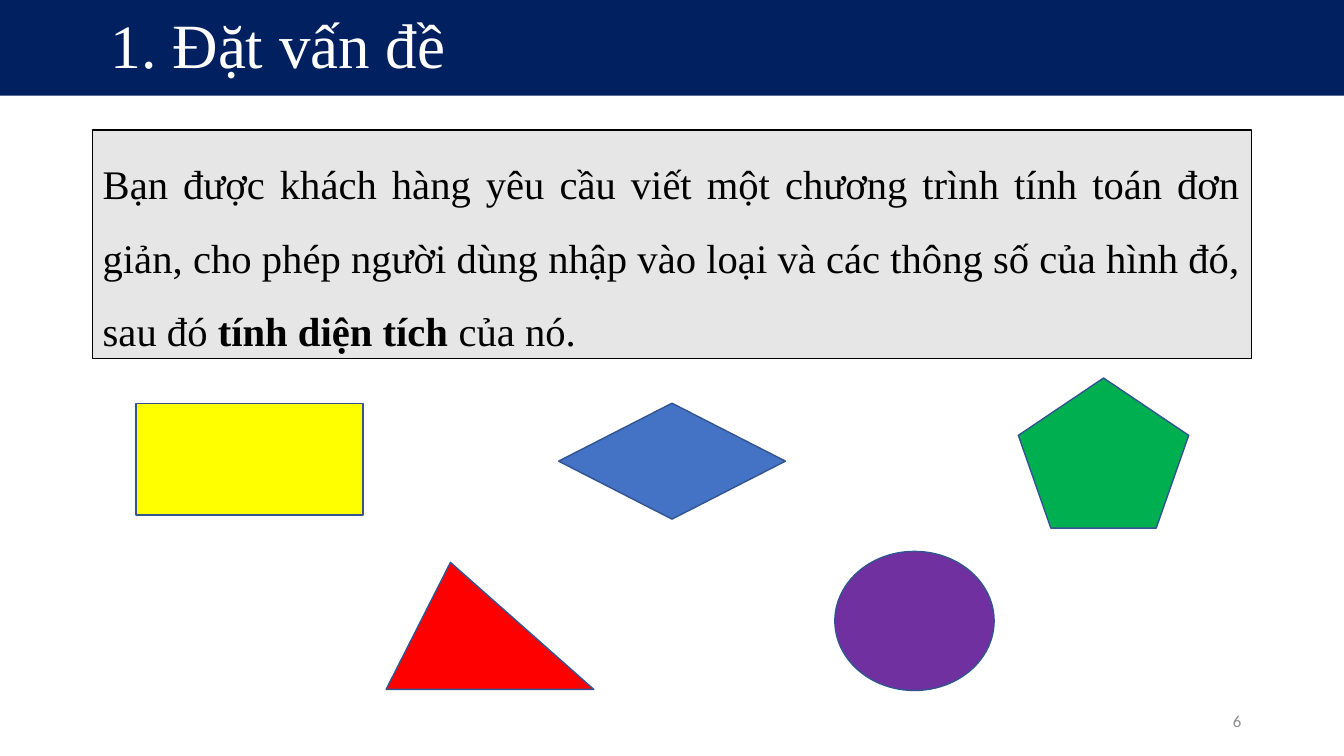
"""Build the slide that poses the problem of computing areas of shapes."""
from pptx import Presentation
from pptx.dml.color import RGBColor
from pptx.enum.shapes import MSO_SHAPE as Kind
from pptx.enum.text import MSO_ANCHOR as Anchor, PP_ALIGN as Align
from pptx.util import Inches, Pt

WIDE, HIGH = 13.33, 7.5
EDGE = 0.92
SERIF = "Times New Roman"
TITLE = [("1. ", 44, False), ("Đặt vấn đề", 45, False)]
BODY = [
    ("Bạn được khách hàng yêu cầu viết một chương trình tính toán đơn giản, "
     "cho phép người dùng nhập vào loại và các thông số của hình đó, sau đó ", 29, False),
    ("tính diện tích ", 29, True),
    ("của nó.", 29, False),
]
NUMBER = [("6", 12, False)]
FIGURES = [
    (Kind.RECTANGLE, "FFFF00", (1.35, 4, 2.25, 1.11), None),
    (Kind.FLOWCHART_DECISION, "4472C4", (5.54, 4, 2.25, 1.15), None),
    (Kind.REGULAR_PENTAGON, "00B050", (10.1, 3.75, 1.69, 1.49), None),
    (Kind.ISOSCELES_TRIANGLE, "FF0000", (3.83, 5.58, 2.06, 1.26), 0.31),
    (Kind.FLOWCHART_CONNECTOR, "7030A0", (8.28, 5.47, 1.58, 1.38), None),
]


def color(code):
    return RGBColor.from_string(code)


def draw(slide, kind, box, fill, line=None, width=1):
    shape = slide.shapes.add_shape(kind, *map(Inches, box))
    shape.shadow.inherit = False
    shape.fill.solid()
    shape.fill.fore_color.rgb = color(fill)
    if line:
        shape.line.color.rgb = color(line)
        shape.line.width = Pt(width)
    else:
        shape.line.fill.background()
    return shape


def write(shape, runs, font=SERIF, ink="000000", align=Align.LEFT,
          anchor=Anchor.MIDDLE, inset=0.1, lead=1, before=0):
    frame = shape.text_frame
    frame.word_wrap = True
    frame.vertical_anchor = anchor
    frame.margin_left = Inches(inset)
    para = frame.paragraphs[0]
    para.alignment = align
    para.line_spacing = lead
    para.space_before = Pt(before)
    for text, size, bold in runs:
        run = para.add_run()
        run.text = text
        run.font.name = font
        run.font.size = Pt(size)
        run.font.bold = bold
        run.font.color.rgb = color(ink)


def main():
    deck = Presentation()
    deck.slide_width, deck.slide_height = Inches(WIDE), Inches(HIGH)
    slide = deck.slides.add_slide(deck.slide_layouts[6])

    banner = draw(slide, Kind.RECTANGLE, (0, 0, WIDE, 0.95), "002060")
    write(banner, TITLE, ink="FFFFFF", inset=1.1, lead=0.9)

    panel = draw(slide, Kind.RECTANGLE, (EDGE, 1.29, WIDE - 2 * EDGE, 2.27),
                 "E7E6E6", "000000", 0.75)
    write(panel, BODY, align=Align.JUSTIFY, anchor=Anchor.TOP, lead=1.5, before=10)

    for kind, fill, box, peak in FIGURES:
        figure = draw(slide, kind, box, fill, "325491")
        if peak:
            figure.adjustments[0] = peak

    box = (WIDE - EDGE - 3, 6.95, 3, 0.4)
    number = slide.shapes.add_textbox(*map(Inches, box))
    write(number, NUMBER, font="Calibri", ink="8C8C8C", align=Align.RIGHT)
    deck.save("out.pptx")


if __name__ == "__main__":
    main()
